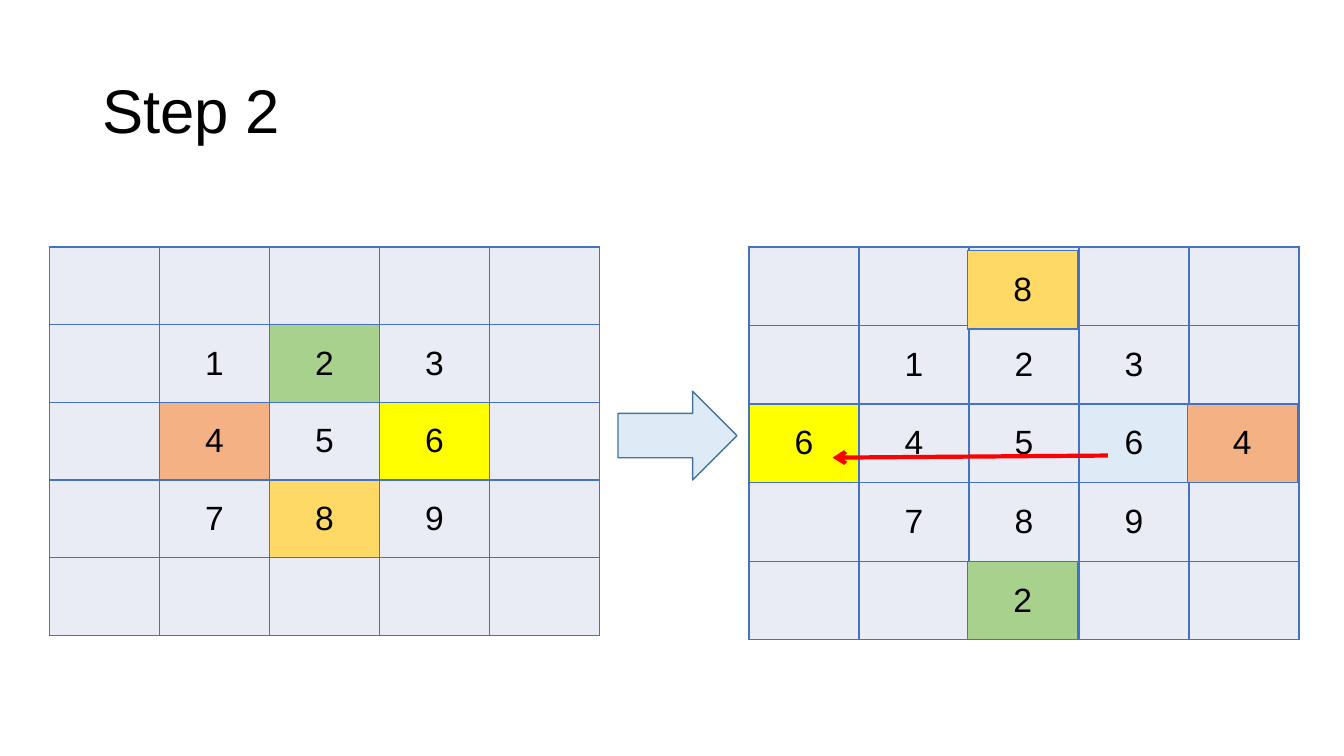
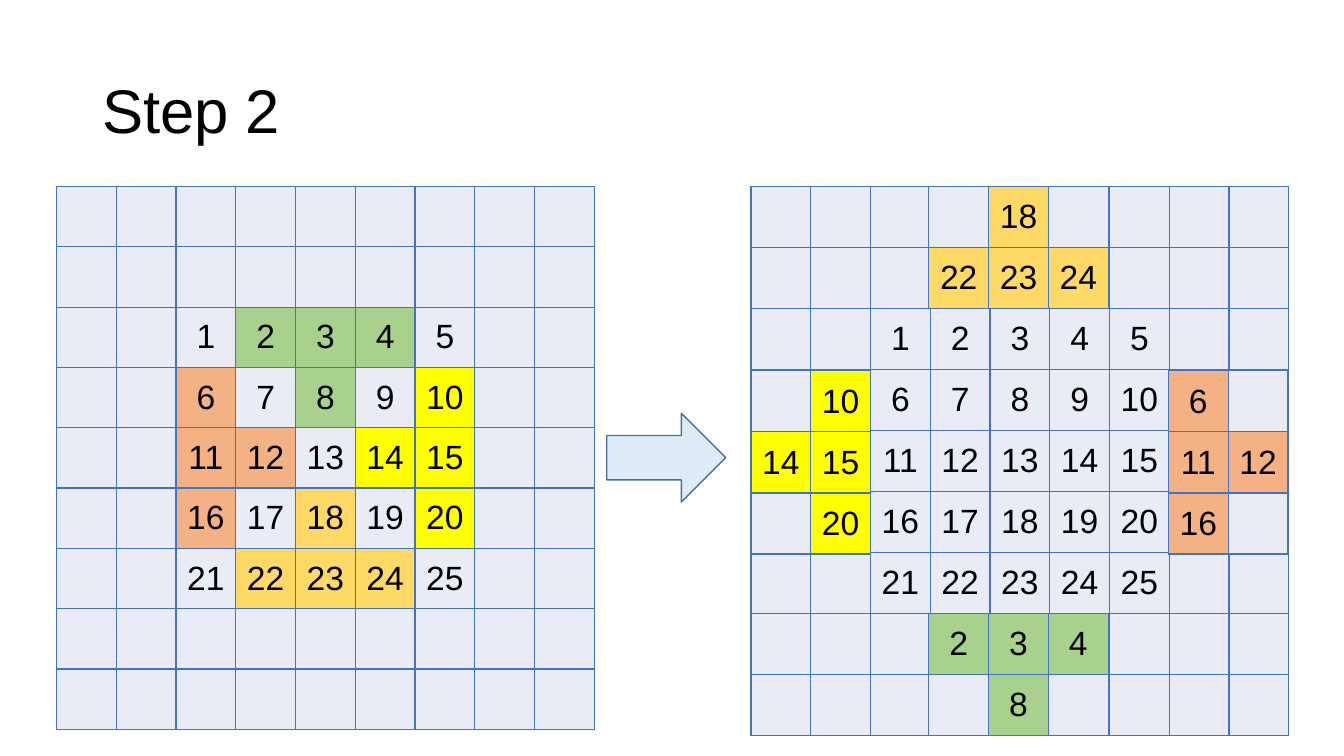
from lxml import etree
from pptx import Presentation
from pptx.dml.color import RGBColor
from pptx.enum.shapes import MSO_CONNECTOR, MSO_SHAPE
from pptx.enum.text import MSO_ANCHOR, PP_ALIGN
from pptx.oxml.ns import qn
from pptx.util import Pt

STRAIGHT = MSO_CONNECTOR.STRAIGHT
RIGHT_ARROW = MSO_SHAPE.RIGHT_ARROW
MIDDLE = MSO_ANCHOR.MIDDLE
CENTER = PP_ALIGN.CENTER

BLACK, RED = "000000", "FF0000"
CELL, PALE_BLUE = "E9EBF5", "DEEBF7"
GRID_LINE, ARROW_LINE = "4472C4", "43739E"
WEDGE_FILLS = {"top": "A9D18E", "left": "F4B183", "right": "FFFF00", "bottom": "FFD966"}
TITLE_BOX = (66, 28.8, 828, 104.4)
TITLE_FORMAT = {"name": "Arial", "size": Pt(44)}
NUMBER_FORMAT = {"name": "Arial", "size": Pt(24)}


def color(value):
    """Return the colour of a hex string."""
    return RGBColor.from_string(value)


def points(box):
    """Convert a box of numbers to lengths in points."""
    return [Pt(length) for length in box]


def write(para, text, font_format):
    """Add one black span with the given font values."""
    span = para.add_run()
    span.text = text
    for name, value in font_format.items():
        setattr(span.font, name, value)
    span.font.color.rgb = color(BLACK)


def add_title(page, text):
    """Place the slide title."""
    frame = page.shapes.add_textbox(*points(TITLE_BOX)).text_frame
    frame.word_wrap = True
    frame.vertical_anchor = MIDDLE
    para = frame.paragraphs[0]
    para.line_spacing = 0.9
    write(para, text, TITLE_FORMAT)


def add_borders(cell):
    """Draw all four sides of a table cell."""
    properties = cell._tc.get_or_add_tcPr()
    for side in ("a:lnL", "a:lnR", "a:lnT", "a:lnB"):
        line = etree.SubElement(properties, qn(side), w=str(Pt(1)))
        solid = etree.SubElement(line, qn("a:solidFill"))
        etree.SubElement(solid, qn("a:srgbClr"), val=GRID_LINE)


def add_number_table(page, box, rows):
    """Fill a box with a table of (text, fill) cells."""
    table = page.shapes.add_table(len(rows), len(rows[0]), *points(box)).table
    table.first_row = table.horz_banding = False
    for column in table.columns:
        column.width = Pt(box[2] / len(rows[0]))
    for row, values in zip(table.rows, rows):
        row.height = Pt(box[3] / len(rows))
        for cell, (text, fill) in zip(row.cells, values):
            add_borders(cell)
            cell.fill.solid()
            cell.fill.fore_color.rgb = color(fill)
            cell.vertical_anchor = MIDDLE
            if text:
                para = cell.text_frame.paragraphs[0]
                para.alignment = CENTER
                write(para, text, NUMBER_FORMAT)


def wedge_of(row, column, size):
    """Name the triangular side region that holds a number."""
    depths = {"top": row, "left": column,
              "bottom": size - 1 - row, "right": size - 1 - column}
    nearest = min(depths.values())
    sides = [side for side, depth in depths.items() if depth == nearest]
    return sides[0] if len(sides) == 1 else None


def add_padded_grid(page, box, size, fill_of):
    """Place the number square inside a ring of empty cells."""
    margin = size // 2
    rows = [[("", CELL)] * (size + 2 * margin) for _ in range(size + 2 * margin)]
    for row in range(size):
        for column in range(size):
            rows[row + margin][column + margin] = (
                str(row * size + column + 1), fill_of(row, column))
    add_number_table(page, box, rows)


def add_moved_wedge(page, box, size, side, nudge):
    """Place one wedge on the ring opposite the side it came from."""
    margin = size // 2
    total = size + 2 * margin
    near, far, inner = range(margin), range(size - margin, size), range(1, size - 1)
    row_range, column_range, row_shift, column_shift = {
        "top": (near, inner, size, 0),
        "bottom": (far, inner, -size, 0),
        "left": (inner, near, 0, size),
        "right": (inner, far, 0, -size),
    }[side]
    rows = [[(str(row * size + column + 1), WEDGE_FILLS[side])
             if wedge_of(row, column, size) == side else ("", CELL)
             for column in column_range] for row in row_range]
    left, top, width, height = box
    cell_width, cell_height = width / total, height / total
    place = (left + (column_range[0] + margin + column_shift) * cell_width + nudge[0],
             top + (row_range[0] + margin + row_shift) * cell_height + nudge[1],
             len(column_range) * cell_width, len(row_range) * cell_height)
    add_number_table(page, place, rows)


def add_block_arrow(page, box):
    """Place the block arrow between the grids."""
    arrow = page.shapes.add_shape(RIGHT_ARROW, *points(box))
    arrow.shadow.inherit = False
    arrow.fill.solid()
    arrow.fill.fore_color.rgb = color(PALE_BLUE)
    arrow.line.color.rgb = color(ARROW_LINE)
    arrow.line.width = Pt(1)


def add_move_arrow(page, ends):
    """Draw the red arrow that follows a moved number."""
    arrow = page.shapes.add_connector(STRAIGHT, *points(ends))
    arrow.line.color.rgb = color(RED)
    arrow.line.width = Pt(3)
    etree.SubElement(arrow.line._get_or_add_ln(), qn("a:tailEnd"), type="arrow")
    etree.SubElement(arrow._element.spPr, qn("a:effectLst"))


def add_step_page(deck, size, before_box, after_box, arrow_box, nudges, highlights):
    """Build a slide with the grid before and after the wedges move."""
    page = deck.slides.add_slide(deck.slide_layouts[6])
    add_title(page, "Step 2")
    add_padded_grid(page, before_box, size, lambda row, column:
                    WEDGE_FILLS.get(wedge_of(row, column, size), CELL))
    add_block_arrow(page, arrow_box)
    add_padded_grid(page, after_box, size, lambda row, column:
                    highlights.get((row, column), CELL))
    for side, nudge in nudges.items():
        add_moved_wedge(page, after_box, size, side, nudge)
    return page


def main():
    """Build and save the deck."""
    deck = Presentation()
    deck.slide_width, deck.slide_height = Pt(960), Pt(540)
    page = add_step_page(
        deck, 3, (35.3, 176.4, 393, 277.5), (535, 176.4, 393, 280.5),
        (441.4, 279.4, 85, 63.4),
        {"right": (0, 0), "left": (-1.4, 0), "top": (-1, 0), "bottom": (-1, 2.5)},
        {(1, 2): PALE_BLUE})
    add_move_arrow(page, (791.3, 325.4, 594.7, 326.9))
    add_step_page(
        deck, 5, (40.3, 133.2, 384.3, 387.9), (536.4, 133.2, 384.3, 392.4),
        (433.4, 295.2, 85, 63.4),
        {"right": (0, 0.9), "top": (-1, 0), "bottom": (-1, 0), "left": (-0.7, 0.9)},
        {})
    deck.save("out.pptx")


if __name__ == "__main__":
    main()
